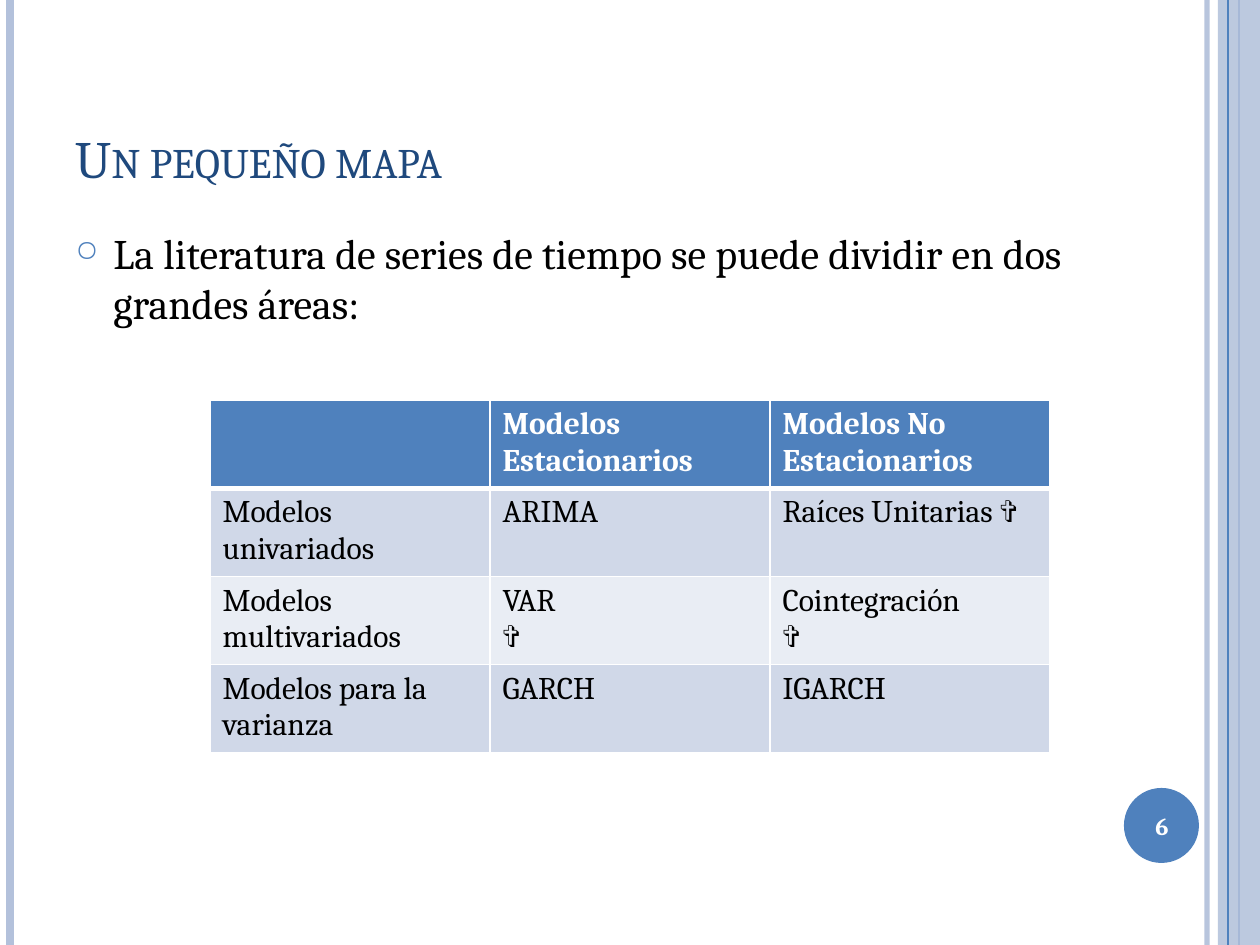
from lxml import etree
from pptx import Presentation
from pptx import util as u
from pptx.dml.color import RGBColor
from pptx.enum import shapes, text
from pptx.oxml import ns

PX_PER_INCH = 126
FONT = "Cambria"
WHITE = RGBColor(0xFF, 0xFF, 0xFF)
BLACK = RGBColor(0, 0, 0)
NAVY = RGBColor(0x1F, 0x49, 0x7D)
BLUE = RGBColor(0x4F, 0x81, 0xBD)
PALE_BLUE = RGBColor(0xB3, 0xC1, 0xDB)
BAND_DARK = RGBColor(0xD0, 0xD8, 0xE8)
BAND_LIGHT = RGBColor(0xE9, 0xED, 0xF4)

SLIDE_W, SLIDE_H = 1260, 945
COLUMN_W, ROW_H = 280, 85
MODELS = [
    ["", "Modelos Estacionarios", "Modelos No Estacionarios"],
    ["Modelos univariados", "ARIMA", "Raíces Unitarias ✞"],
    ["Modelos multivariados", "VAR\n✞", "Cointegración\n✞"],
    ["Modelos para la varianza", "GARCH", "IGARCH"],
]


def px(length):
    return u.Emu(round(length * u.Inches(1) / PX_PER_INCH))


def add_xml(parent, tag, **attributes):
    return etree.SubElement(parent, ns.qn(tag), {k: str(v) for k, v in attributes.items()})


def set_opacity(element, percent):
    add_xml(next(element.iter(ns.qn("a:srgbClr"))), "a:alpha", val=percent * 1000)


def style_text(frame, size, color, bold=False):
    for paragraph in frame.paragraphs:
        for run in paragraph.runs:
            run.font.name = FONT
            run.font.size = u.Pt(size)
            run.font.color.rgb = color
            run.font.bold = bold


def add_rule(slide, x, color, width, opacity=100):
    """Draw a vertical line over the full slide height."""
    rule = slide.shapes.add_connector(shapes.MSO_CONNECTOR.STRAIGHT, px(x), 0, px(x), px(SLIDE_H))
    rule.line.color.rgb = color
    rule.line.width = u.Pt(width)
    properties = rule._element.spPr
    if opacity < 100:
        set_opacity(properties, opacity)
    add_xml(properties, "a:effectLst")


def add_filled(slide, preset, left, top, width, height, color):
    shape = slide.shapes.add_shape(preset, px(left), px(top), px(width), px(height))
    shape.shadow.inherit = False
    shape.fill.solid()
    shape.fill.fore_color.rgb = color
    shape.line.fill.background()
    return shape


def add_text(slide, words, left, top, width, height, size, color, anchor, bold=False):
    box = slide.shapes.add_textbox(px(left), px(top), px(width), px(height))
    frame = box.text_frame
    frame.word_wrap = True
    frame.vertical_anchor = anchor
    frame.text = words
    style_text(frame, size, color, bold)
    return frame.paragraphs[0]


def add_bullet(paragraph):
    paragraph.space_before = u.Pt(6)
    properties = paragraph._p.get_or_add_pPr()
    properties.set("marL", str(px(38)))
    properties.set("indent", str(-px(38)))
    add_xml(add_xml(properties, "a:buClr"), "a:srgbClr", val=BLUE)
    add_xml(properties, "a:buSzPct", val=70000)
    add_xml(properties, "a:buChar", char="○")


def set_borders(cell, **widths):
    properties = cell._tc.get_or_add_tcPr()
    for side in "LRTB":
        border = add_xml(properties, f"a:ln{side}", w=u.Pt(widths.get(side, 1)))
        add_xml(add_xml(border, "a:solidFill"), "a:srgbClr", val=WHITE)


def add_model_table(slide, left, top):
    rows, columns = len(MODELS), len(MODELS[0])
    table = slide.shapes.add_table(rows, columns, px(left), px(top),
                                   px(columns * COLUMN_W), px(rows * ROW_H)).table
    for column in table.columns:
        column.width = px(COLUMN_W)
    for r, labels in enumerate(MODELS):
        table.rows[r].height = px(ROW_H)
        header = r == 0
        for c, label in enumerate(labels):
            cell = table.cell(r, c)
            cell.text_frame.text = label
            style_text(cell.text_frame, 18, WHITE if header else BLACK, header)
            set_borders(cell, B=3 if header else 1, T=3 if r == 1 else 1)
            cell.fill.solid()
            cell.fill.fore_color.rgb = BLUE if header else BAND_DARK if r % 2 else BAND_LIGHT


def add_frame(slide):
    """Draw the stripes along both slide edges."""
    add_rule(slide, 1207, PALE_BLUE, 3, opacity=93)
    add_rule(slide, 10, PALE_BLUE, 4.5)
    add_rule(slide, 1239, BLUE, 1.5)
    band = add_filled(slide, shapes.MSO_SHAPE.RECTANGLE, 1218, 0, 42, SLIDE_H, PALE_BLUE)
    set_opacity(band._element.spPr, 87)
    add_rule(slide, 1228, BLUE, 0.75)


def add_page_number(slide, number):
    add_filled(slide, shapes.MSO_SHAPE.OVAL, 1124, 788, 75, 75, BLUE)
    paragraph = add_text(slide, number, 1120, 790, 84, 72, 14, WHITE,
                         text.MSO_ANCHOR.MIDDLE, bold=True)
    paragraph.alignment = text.PP_ALIGN.CENTER


def main():
    deck = Presentation()
    deck.slide_width, deck.slide_height = px(SLIDE_W), px(SLIDE_H)
    slide = deck.slides.add_slide(deck.slide_layouts[6])
    add_frame(slide)
    title = add_text(slide, "Un pequeño mapa", 63, 38, 1029, 157, 30, NAVY,
                     text.MSO_ANCHOR.BOTTOM)
    title.runs[0].font._element.set("cap", "small")
    intro = add_text(slide,
                     "La literatura de series de tiempo se puede dividir en dos grandes áreas:",
                     63, 221, 1029, 672, 24, BLACK, text.MSO_ANCHOR.TOP)
    add_bullet(intro)
    add_model_table(slide, 210, 400)
    add_page_number(slide, "6")
    deck.save("out.pptx")


if __name__ == "__main__":
    main()
